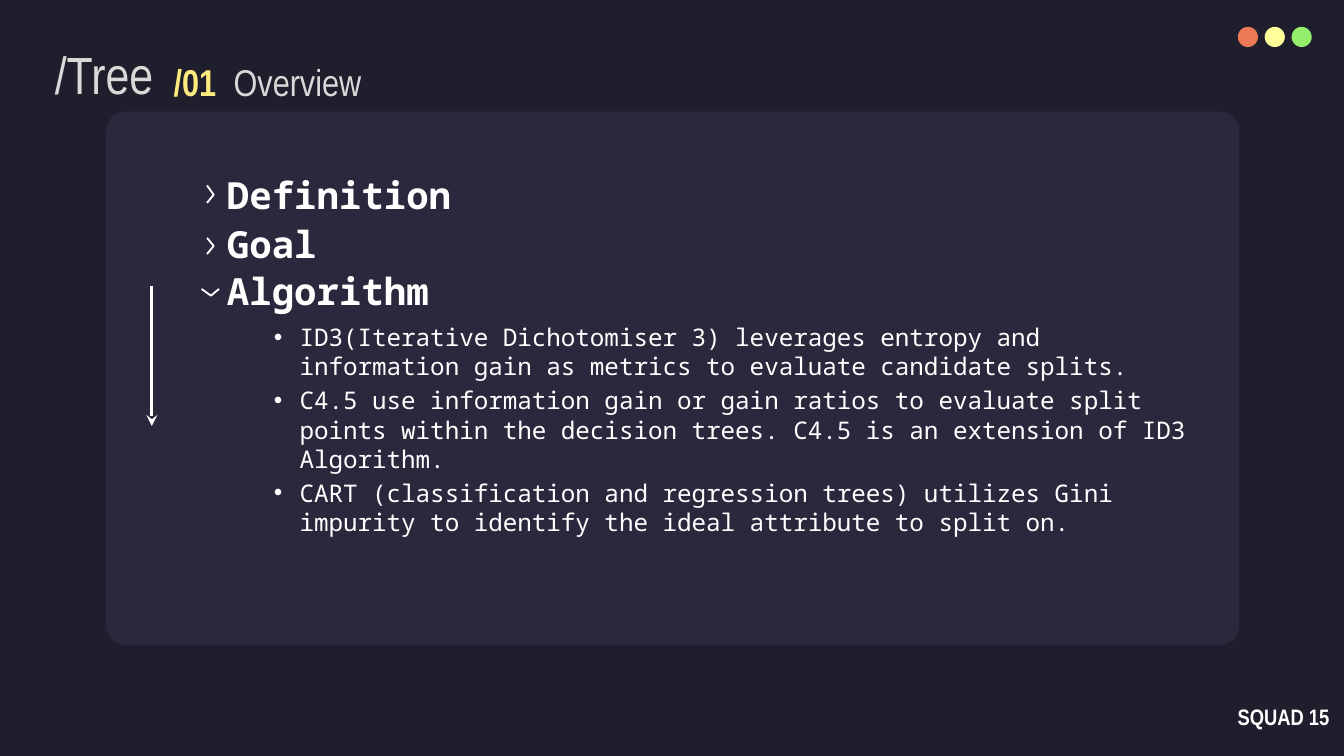
import pptx
import pptx.dml.color
import pptx.enum.shapes
import pptx.enum.text
import pptx.oxml
import pptx.oxml.ns
import pptx.util

Inches = pptx.util.Inches
Pt = pptx.util.Pt
RGBColor = pptx.dml.color.RGBColor
Shape = pptx.enum.shapes.MSO_SHAPE
Anchor = pptx.enum.text.MSO_ANCHOR
Align = pptx.enum.text.PP_ALIGN

NIGHT = RGBColor(0x1E, 0x1E, 0x2C)
PANEL = RGBColor(0x29, 0x28, 0x3D)
CORAL = RGBColor(0xEC, 0x79, 0x55)
LEMON = RGBColor(0xFF, 0xFF, 0x99)
GREEN = RGBColor(0x94, 0xEE, 0x6B)
GOLD = RGBColor(0xFF, 0xEA, 0x7D)
GREY = RGBColor(0xD9, 0xD9, 0xD9)
WHITE = RGBColor(0xFF, 0xFF, 0xFF)

NARROW = "Arial Narrow"
MONO = "Noto Sans Mono"
NAMESPACE = pptx.oxml.ns.nsdecls("a")

WINDOW_DOTS = [CORAL, LEMON, GREEN]
SECTIONS = [
    ("Definition", 1.23, [(1.54, 1.38), (1.59, 1.45), (1.54, 1.51)]),
    ("Goal", 1.6, [(1.54, 1.77), (1.59, 1.83), (1.54, 1.89)]),
    ("Algorithm", 1.95, [(1.63, 2.15), (1.57, 2.2), (1.5, 2.15)]),
]
ALGORITHMS = [
    "ID3(Iterative Dichotomiser 3) leverages entropy and information gain as metrics to evaluate candidate splits.",
    "C4.5 use information gain or gain ratios to evaluate split points within the decision trees. "
    "C4.5 is an extension of ID3 Algorithm.",
    "CART (classification and regression trees) utilizes Gini impurity to identify the ideal attribute to split on.",
]


def add_filled(page, kind, area, color):
    shape = page.shapes.add_shape(kind, *map(Inches, area))
    shape.shadow.inherit = False
    shape.fill.solid()
    shape.fill.fore_color.rgb = color
    shape.line.fill.background()
    return shape


def add_bullet(para, mark):
    properties = para._p.get_or_add_pPr()
    properties.set("marL", str(Inches(0.19)))
    properties.set("indent", str(-Inches(0.19)))
    properties.append(pptx.oxml.parse_xml(f'<a:buFont {NAMESPACE} typeface="Arial"/>'))
    properties.append(pptx.oxml.parse_xml(f'<a:buChar {NAMESPACE} char="{mark}"/>'))


def add_text(page, area, lines, size, font, color, bold=False, anchor=Anchor.TOP,
             align=Align.LEFT, spacing=None, insets=(0.1, 0.05, 0.1, 0.05), bullet=None):
    box = page.shapes.add_textbox(*map(Inches, area))
    frame = box.text_frame
    frame.word_wrap = True
    frame.vertical_anchor = anchor
    frame.margin_left, frame.margin_top, frame.margin_right, frame.margin_bottom = map(Inches, insets)
    for index, line in enumerate(lines):
        para = frame.paragraphs[0] if index == 0 else frame.add_paragraph()
        para.text = line
        para.alignment = align
        if spacing:
            para.line_spacing = spacing
        if index:
            para.space_before = Pt(size * 0.2)
        if bullet:
            add_bullet(para, bullet)
        para.font.size = Pt(size)
        para.font.name = font
        para.font.bold = bold
        para.font.color.rgb = color


def add_chevron(page, points):
    start, *rest = [(Inches(x), Inches(y)) for x, y in points]
    builder = page.shapes.build_freeform(*start)
    builder.add_line_segments(rest, close=False)
    chevron = builder.convert_to_shape()
    chevron.shadow.inherit = False
    chevron.fill.background()
    chevron.line.color.rgb = WHITE
    chevron.line.width = Pt(1)


def add_arrow(page, start, end):
    arrow = page.shapes.add_connector(
        pptx.enum.shapes.MSO_CONNECTOR.STRAIGHT, *map(Inches, start + end))
    arrow.line.color.rgb = WHITE
    arrow.line.width = Pt(1.5)
    properties = arrow._element.spPr
    outline = properties.find(pptx.oxml.ns.qn("a:ln"))
    outline.append(pptx.oxml.parse_xml(f'<a:tailEnd {NAMESPACE} type="stealth"/>'))
    properties.append(pptx.oxml.parse_xml(f"<a:effectLst {NAMESPACE}/>"))


def main():
    deck = pptx.Presentation()
    deck.slide_width, deck.slide_height = Inches(10), Inches(10 * 9 / 16)
    page = deck.slides.add_slide(deck.slide_layouts[6])
    page.background.fill.solid()
    page.background.fill.fore_color.rgb = NIGHT

    panel = add_filled(page, Shape.ROUNDED_RECTANGLE, (0.79, 0.83, 8.43, 3.97), PANEL)
    panel.adjustments[0] = 0.036
    for index, color in enumerate(WINDOW_DOTS):
        add_filled(page, Shape.OVAL, (9.21 + 0.2 * index, 0.2, 0.15, 0.15), color)
    add_arrow(page, (1.13, 2.13), (1.13, 3.17))

    even = (0.1, 0.1, 0.1, 0.1)
    add_text(page, (0.31, 0.24, 1.7, 0.68), ["/Tree"], 28, NARROW, GREY,
             anchor=Anchor.MIDDLE, spacing=0.9, insets=even)
    add_text(page, (-1.05, 0.39, 5, 0.44), ["/01"], 20, NARROW, GOLD, bold=True, align=Align.CENTER)
    add_text(page, (1.64, 0.28, 1.24, 0.69), ["Overview"], 20, NARROW, GREY,
             anchor=Anchor.MIDDLE, spacing=0.9, insets=even)

    for heading, top, chevron in SECTIONS:
        add_chevron(page, chevron)
        add_text(page, (1.59, top, 5.52, 0.44), [heading], 20, MONO, WHITE, bold=True)
    add_text(page, (1.94, 2.35, 7.18, 1.5), ALGORITHMS, 13, MONO, WHITE, bullet="•")

    add_text(page, (9.11, 5.16, 1.17, 0.35), ["SQUAD 15"], 12, NARROW, WHITE, bold=True,
             anchor=Anchor.MIDDLE, insets=(0.1, 0.1, 0, 0.1))
    deck.save("out.pptx")


if __name__ == "__main__":
    main()
